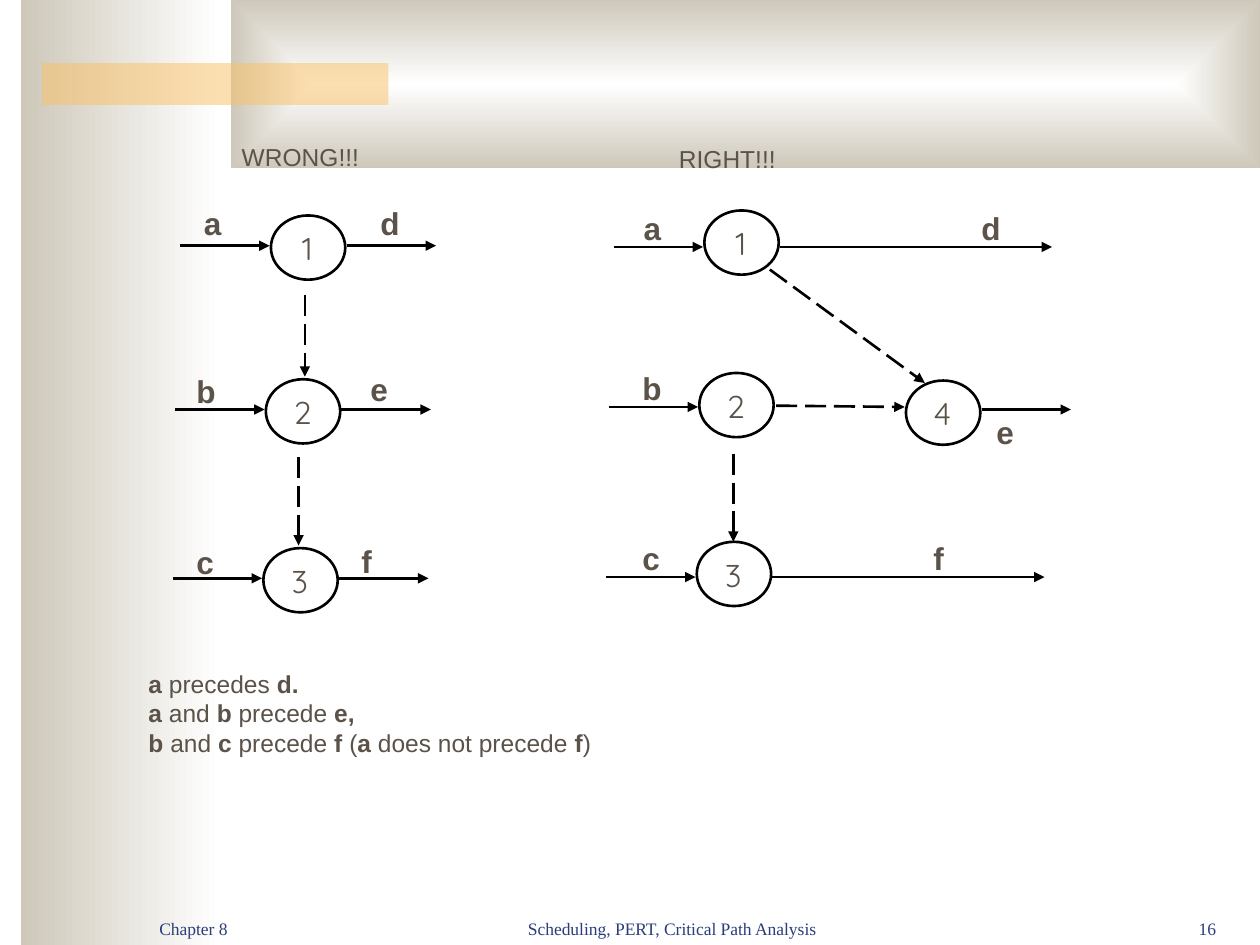
from dataclasses import dataclass

from lxml.etree import SubElement
from pptx import Presentation
from pptx.dml.color import RGBColor
from pptx.enum.dml import MSO_LINE
from pptx.enum.shapes import MSO_CONNECTOR, MSO_SHAPE
from pptx.enum.text import MSO_ANCHOR, PP_ALIGN
from pptx.oxml import parse_xml
from pptx.oxml.ns import nsdecls, qn
from pptx.util import Inches, Pt


@dataclass(frozen=True)
class Theme:
    white: str = "FFFFFF"
    sand: str = "CEC8BA"
    amber: str = "FAC164"
    ink: str = "5B5249"
    navy: str = "2A3D7A"
    black: str = "000000"
    sans: str = "Arial"
    digit: str = "Quicksand"
    serif: str = "Times New Roman"
    label_size: int = 18
    body_size: int = 14
    footer_size: int = 10
    line_width: float = 1.5


THEME = Theme()

# Background and footer: columns and rows of a 120 x 90 grid
COLUMNS, ROWS = 120, 90
SIDE_BAND = (2, 0, 19, 90)
TOP_BAND = (22, 0, 98, 16)
ACCENT_BAR = (4, 6, 33, 4)
FOOTERS = [
    ("Scheduling, PERT, Critical Path Analysis", (45, 84, 38, 6), PP_ALIGN.CENTER),
    ("16", (105, 84, 12, 6), PP_ALIGN.RIGHT),
    ("Chapter 8", (14, 84, 25, 6), PP_ALIGN.LEFT),
]

# Diagrams, in inches
NODE_SIZE = (0.59, 0.51)
DIGIT_SIZE = (0.62, 0.49)
LABEL_SIZE = (0.49, 0.46)
SHORT, LONG = 0.71, 2.16
GAP_IN, GAP_OUT = 0.01, 0.6
HEADINGS = [("WRONG!!!", (1.82, 1.08, 1.21, 0.39)), ("RIGHT!!!", (5.29, 1.09, 1.17, 0.34))]

# number, node corner, activity height, length in, length out
NODES = [
    ("1", (2.15, 1.71), 1.95, SHORT, SHORT),
    ("2", (2.11, 3.01), 3.25, SHORT, SHORT),
    ("3", (2.09, 4.35), 4.59, SHORT, SHORT),
    ("1", (5.59, 1.67), 1.96, SHORT, LONG),
    ("2", (5.55, 2.96), 3.23, SHORT, None),
    ("3", (5.53, 4.3), 4.58, SHORT, LONG),
    ("4", (7.19, 3.02), 3.25, None, SHORT),
]
DUMMIES = [
    (2.42, 2.34, 2.42, 2.99),
    (2.37, 3.63, 2.37, 4.33),
    (6.16, 3.22, 7.18, 3.23),
    (5.82, 3.6, 5.82, 4.3),
    (6.11, 2.14, 7.34, 3.04),
]
ACTIVITIES = [
    ("a", 1.52, 1.57), ("d", 2.92, 1.57), ("b", 1.46, 2.9),
    ("e", 2.84, 2.89), ("c", 1.46, 4.26), ("f", 2.77, 4.25),
    ("a", 5.01, 1.61), ("d", 7.69, 1.61), ("b", 5, 2.88),
    ("e", 7.81, 3.23), ("f", 7.31, 4.23), ("c", 5, 4.23),
]
RULES_AT = (1.08, 5.26, 6.88, 0.41)
RULES = [  # bold and regular spans take turns, bold first
    ["a ", "precedes ", "d."],
    ["a", " and ", "b ", "precede ", "e,"],
    ["b ", "and ", "c ", "precede ", "f ", "(", "a", " does not precede ", "f", ")"],
]

deck = Presentation()
deck.slide_width, deck.slide_height = Inches(10), Inches(7.5)
page = deck.slides.add_slide(deck.slide_layouts[6])


def color(name):
    return RGBColor.from_string(name)


def inches(lengths):
    return [Inches(length) for length in lengths]


def grid(cells):
    """Turn column, row, columns wide and rows high into inches."""
    column, row = 10 / COLUMNS, 7.5 / ROWS
    return [cell * step for cell, step in zip(cells, (column, row, column, row))]


def add_shape(kind, at):
    shape = page.shapes.add_shape(kind, *inches(at))
    shape.shadow.inherit = False
    shape.line.fill.background()
    return shape


def add_band(cells, angle=None):
    """Add a white to sand band; without an angle it fades out from the centre."""
    band = add_shape(MSO_SHAPE.RECTANGLE, grid(cells))
    band.fill.gradient()
    for stop, name, position in zip(band.fill.gradient_stops, (THEME.white, THEME.sand), (0, 1)):
        stop.color.rgb = color(name)
        stop.position = position
    if angle is not None:
        band.fill.gradient_angle = angle
        return
    gradient = band.element.spPr.find(qn("a:gradFill"))
    gradient.replace(gradient.find(qn("a:lin")), parse_xml(
        f'<a:path {nsdecls("a")} path="rect">'
        '<a:fillToRect l="50000" t="50000" r="50000" b="50000"/></a:path>'))


def add_text(at, paragraphs, size, font=THEME.sans, ink=THEME.ink,
             align=PP_ALIGN.LEFT, anchor=MSO_ANCHOR.TOP):
    """Write paragraphs given as lists of (text, bold) spans."""
    frame = page.shapes.add_textbox(*inches(at)).text_frame
    frame.word_wrap = True
    frame.vertical_anchor = anchor
    for index, spans in enumerate(paragraphs):
        para = frame.paragraphs[0] if index == 0 else frame.add_paragraph()
        para.alignment = align
        for text, bold in spans:
            span = para.add_run()
            span.text = text
            span.font.name, span.font.size, span.font.bold = font, Pt(size), bold
            span.font.color.rgb = color(ink)


def add_arrow(start_x, start_y, end_x, end_y, dashed=False):
    arrow = page.shapes.add_connector(
        MSO_CONNECTOR.STRAIGHT, *inches((start_x, start_y, end_x, end_y)))
    arrow.line.color.rgb = color(THEME.black)
    arrow.line.width = Pt(THEME.line_width)
    if dashed:
        arrow.line.dash_style = MSO_LINE.LONG_DASH
    SubElement(arrow.line._get_or_add_ln(), qn("a:tailEnd"), type="triangle")
    SubElement(arrow.element.spPr, qn("a:effectLst"))


def add_node(number, x, y):
    circle = add_shape(MSO_SHAPE.OVAL, (x, y, *NODE_SIZE))
    circle.fill.background()
    circle.line.color.rgb = color(THEME.black)
    circle.line.width = Pt(THEME.line_width)
    add_text((x - 0.02, y + 0.06, *DIGIT_SIZE), [[(number, False)]],
             THEME.label_size, THEME.digit, align=PP_ALIGN.CENTER)


add_band(SIDE_BAND, 180)
add_band(TOP_BAND)
accent = add_shape(MSO_SHAPE.RECTANGLE, grid(ACCENT_BAR))
accent.fill.solid()
accent.fill.fore_color.rgb = color(THEME.amber)
SubElement(accent.element.spPr.find(qn("a:solidFill"))[0], qn("a:alpha"), val="50000")

for number, (x, y), height, length_in, length_out in NODES:
    add_node(number, x, y)
    if length_in:
        end = x - GAP_IN
        add_arrow(end - length_in, height, end, height)
    if length_out:
        start = x + GAP_OUT
        add_arrow(start, height, start + length_out, height)
for ends in DUMMIES:
    add_arrow(*ends, dashed=True)

for name, x, y in ACTIVITIES:
    add_text((x, y, *LABEL_SIZE), [[(name, True)]], THEME.label_size)
for heading, at in HEADINGS:
    add_text(at, [[(heading, False)]], THEME.body_size)
add_text(RULES_AT,
         [[(text, index % 2 == 0) for index, text in enumerate(rule)] for rule in RULES],
         THEME.body_size)
for text, cells, align in FOOTERS:
    add_text(grid(cells), [[(text, False)]], THEME.footer_size, THEME.serif,
             THEME.navy, align, MSO_ANCHOR.BOTTOM)

deck.save("out.pptx")
